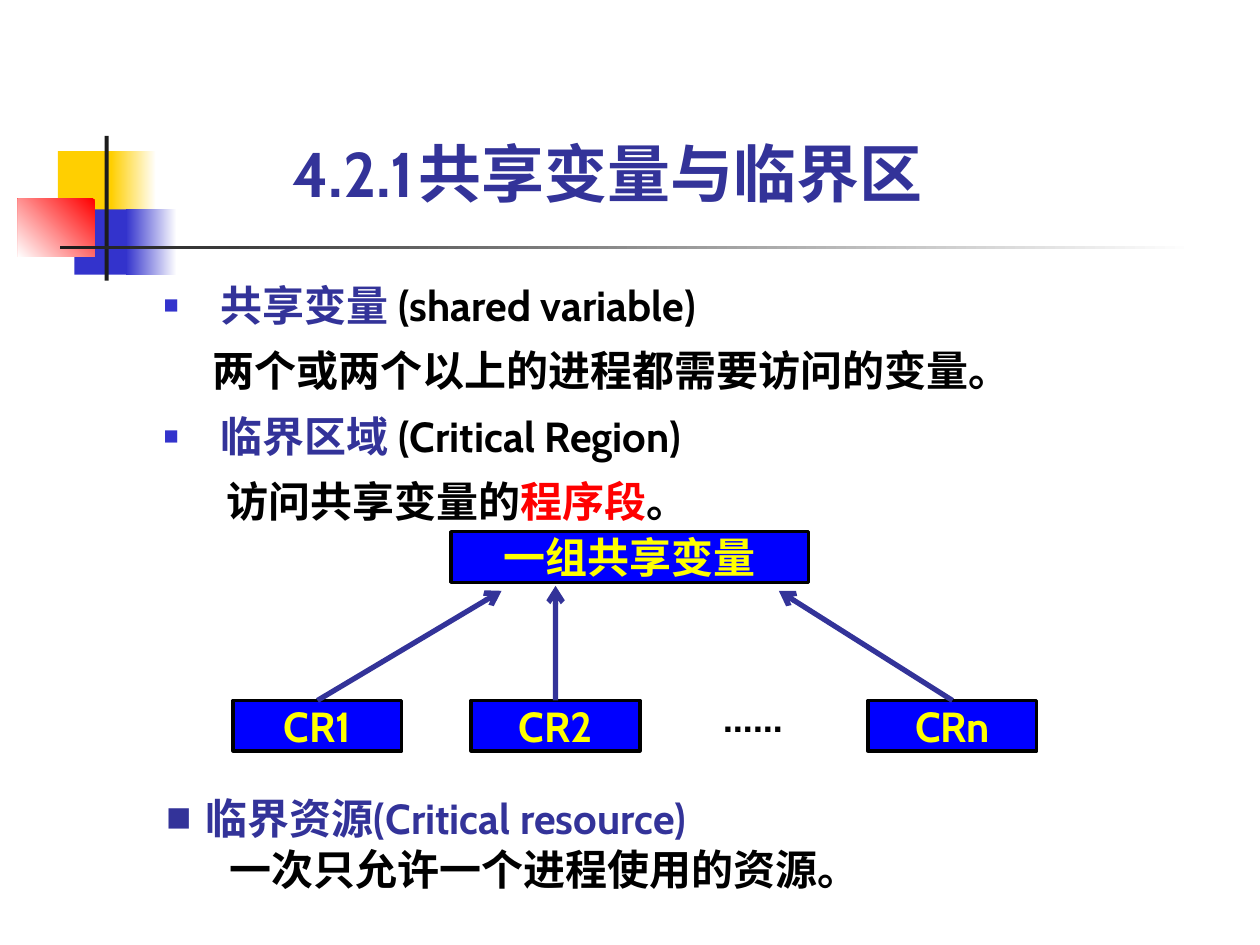
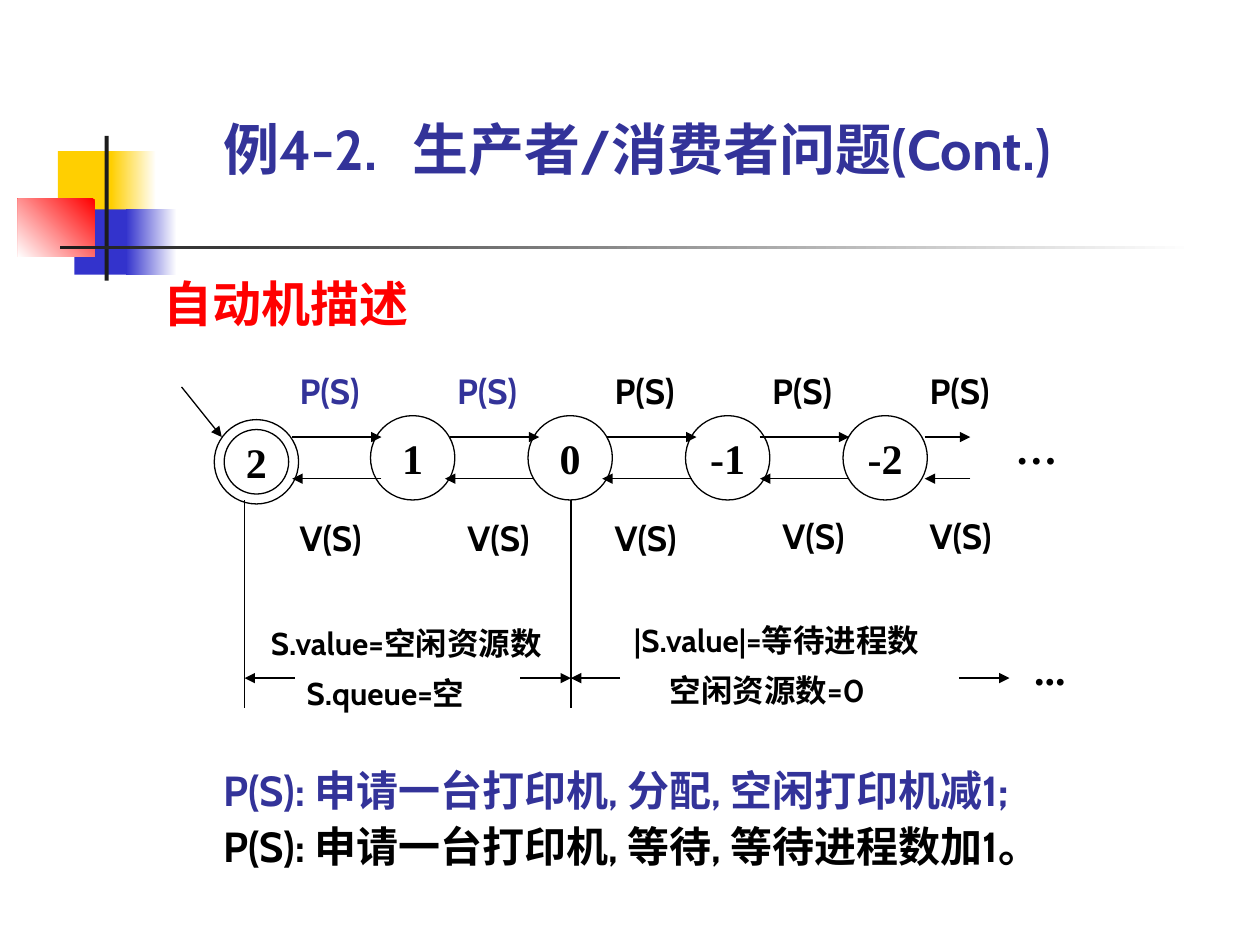
import pptx
import pptx.util
import pptx.dml.color
import pptx.enum.shapes
import pptx.enum.text
import pptx.oxml.ns
from lxml import etree

Cm, Pt = pptx.util.Cm, pptx.util.Pt
RGBColor = pptx.dml.color.RGBColor
SHAPE = pptx.enum.shapes.MSO_SHAPE
STRAIGHT = pptx.enum.shapes.MSO_CONNECTOR.STRAIGHT
ANCHOR = pptx.enum.text.MSO_ANCHOR
ALIGN = pptx.enum.text.PP_ALIGN
FIT = pptx.enum.text.MSO_AUTO_SIZE

WHITE = RGBColor(0xFF, 0xFF, 0xFF)
BLACK = RGBColor(0x00, 0x00, 0x00)
INK = RGBColor(0x1C, 0x1C, 0x1C)
INDIGO = RGBColor(0x33, 0x33, 0x99)
BLUE = RGBColor(0x33, 0x33, 0xCC)
BOX_BLUE = RGBColor(0x00, 0x00, 0xFF)
GOLD = RGBColor(0xFF, 0xCF, 0x01)
YELLOW = RGBColor(0xFF, 0xFF, 0x00)
RED = RGBColor(0xFF, 0x00, 0x00)

SANS, CJK, SERIF = "Cabin", "Noto Sans CJK SC", "Times New Roman"
NO_INSET = (0, 0)
INSET = (0.25, 0.13)


def add_xml(parent, tag, **attrs):
    return etree.SubElement(parent, pptx.oxml.ns.qn(tag), attrs)


class Deck:
    """Holds the style and the slide being drawn."""

    def __init__(self):
        self.prs = pptx.Presentation()
        self.prs.slide_width, self.prs.slide_height = Cm(25.4), Cm(19.05)
        self.layout = self.prs.slide_layouts[5]
        self.s = None

    def new_slide(self):
        self.s = self.prs.slides.add_slide(self.layout)

    def set_text(self, sp, paragraphs, inset=NO_INSET, anchor=ANCHOR.TOP, fit=FIT.SHAPE_TO_FIT_TEXT,
                 wrap=True, **style):
        """Each paragraph is (runs, format); each run is (text, format)."""
        tf = sp.text_frame
        frame = dict(margin_left=Cm(inset[0]), margin_right=Cm(inset[0]), margin_top=Cm(inset[1]),
                     margin_bottom=Cm(inset[1]), vertical_anchor=anchor, auto_size=fit, word_wrap=wrap)
        for name, value in frame.items():
            setattr(tf, name, value)
        for i, (runs, form) in enumerate(paragraphs):
            p = tf.add_paragraph() if i else tf.paragraphs[0]
            self.format_paragraph(p, **{**style.get("para", {}), **form})
            for text, run_format in runs:
                self.add_run(p, text, {**style.get("font", {}), **run_format})
        return sp

    def format_paragraph(self, p, align=ALIGN.LEFT, spacing=1.0, before=0, left=0, first=0,
                         bullet=None, bullet_size=100, tab=None):
        values = dict(alignment=align, line_spacing=spacing, space_before=Pt(before))
        for name, value in values.items():
            setattr(p, name, value)
        pPr = p._p.get_or_add_pPr()
        pPr.set("marL", str(Cm(left)))
        pPr.set("indent", str(Cm(first)))
        if bullet is not None:
            add_xml(add_xml(pPr, "a:buClr"), "a:srgbClr", val=str(bullet))
            add_xml(pPr, "a:buSzPct", val=str(bullet_size * 1000))
            add_xml(pPr, "a:buFont", typeface=SERIF)
            add_xml(pPr, "a:buChar", char="■")
        else:
            add_xml(pPr, "a:buNone")
        if tab:
            add_xml(add_xml(pPr, "a:tabLst"), "a:tab", pos=str(Cm(tab)), algn="l")

    def add_run(self, p, text, form):
        form = {"size": 24, "name": SANS, "color": BLACK, "bold": True, **form}
        r = p.add_run()
        r.text = text
        r.font.color.rgb = form.pop("color")
        form["size"] = Pt(form["size"])
        for name, value in form.items():
            setattr(r.font, name, value)
        add_xml(r.font._element, "a:ea", typeface=CJK)

    def title(self, text, x, y, w, h, size, tab, spacing=1.0):
        sp = self.s.shapes.title
        sp.left, sp.top, sp.width, sp.height = map(Cm, (x, y, w, h))
        runs = [(text, dict(size=size, color=INDIGO))]
        return self.set_text(sp, [(runs, dict(tab=tab, spacing=spacing))], anchor=ANCHOR.BOTTOM)

    def text(self, x, y, w, h, paragraphs, **style):
        sp = self.s.shapes.add_textbox(*map(Cm, (x, y, w, h)))
        return self.set_text(sp, paragraphs, **style)

    def label(self, text, x, y, w, h, inset=INSET, para=None, **font):
        return self.text(x, y, w, h, [([(text, font)], para or {})], inset=inset)

    def shape(self, kind, x, y, w, h, fill=None, gradient=None, line=None, weight=0.75):
        sp = self.s.shapes.add_shape(kind, *map(Cm, (x, y, w, h)))
        sp.shadow.inherit = False
        if gradient:
            start, end, angle = gradient
            sp.fill.gradient()
            sp.fill.gradient_angle = angle
            for stop, color in zip(sp.fill.gradient_stops, (start, end)):
                stop.color.rgb = color
        elif fill is not None:
            sp.fill.solid()
            sp.fill.fore_color.rgb = fill
        else:
            sp.fill.background()
        if line is not None:
            sp.line.color.rgb = line
            sp.line.width = Pt(weight)
        else:
            sp.line.fill.background()
        return sp

    def box(self, text, x, y, w, h):
        sp = self.shape(SHAPE.RECTANGLE, x, y, w, h, fill=BOX_BLUE, line=BLACK, weight=2)
        return self.set_text(sp, [([(text, dict(color=YELLOW))], dict(align=ALIGN.CENTER))])

    def state(self, text, x, y, d):
        sp = self.shape(SHAPE.OVAL, x, y, d, d, line=BLACK)
        return self.set_text(sp, [([(text, dict(name=SERIF))], dict(align=ALIGN.CENTER))], inset=INSET,
                             anchor=ANCHOR.MIDDLE, fit=FIT.NONE, wrap=False)

    def line(self, x1, y1, x2, y2, color=BLACK, weight=0.75, arrow="triangle", start=None):
        cx = self.s.shapes.add_connector(STRAIGHT, *map(Cm, (x1, y1, x2, y2)))
        cx.line.color.rgb = color
        cx.line.width = Pt(weight)
        spPr = cx._element.spPr
        if arrow:
            add_xml(spPr.get_or_add_ln(), "a:tailEnd", type=arrow)
        add_xml(spPr, "a:effectLst")
        if start is not None:
            cx.begin_connect(start, 0)
        return cx

    def decorate_layout(self):
        """Draw the corner blocks and rules, then move them to the shared layout."""
        blocks = [
            (1.17, 3.05, 1.22, 1.32, dict(fill=GOLD)),
            (2.24, 3.05, 0.91, 1.32, dict(gradient=(WHITE, GOLD, 180))),
            (1.5, 4.22, 1.17, 1.32, dict(fill=BLUE)),
            (2.54, 4.22, 1.02, 1.32, dict(gradient=(WHITE, BLUE, 180))),
            (0.36, 4.01, 1.55, 1.17, dict(gradient=(RED, WHITE, 225))),
            (2.11, 2.74, 0.08, 2.92, dict(fill=INK)),
            (1.22, 4.95, 22.86, 0.08, dict(gradient=(WHITE, INK, 180))),
        ]
        for x, y, w, h, look in blocks:
            sp = self.shape(SHAPE.RECTANGLE, x, y, w, h, **look)
            self.layout.shapes.element.append(sp._element)


def shared_variables(deck):
    deck.title("4.2.1\t共享变量与临界区", 5.89, 2.95, 15.01, 1.3, 36, tab=3.34, spacing=0.85)

    # Definitions
    indigo = dict(color=INDIGO)
    term = dict(left=1.15, first=-1.15, bullet=BLUE, bullet_size=60)
    deck.text(3.3, 5.33, 20.19, 5.28, [
        ([("共享变量 ", indigo), ("(shared variable)", {})], term),
        ([("两个或两个以上的进程都需要访问的变量。", {})], dict(left=0.99)),
        ([("临界区域 ", indigo), ("(Critical Region)", {})], term),
        ([("访问共享变量的", {}), ("程序段", dict(color=RED)), ("。", {})], dict(left=1.27)),
    ], para=dict(spacing=1.3), fit=FIT.NONE)

    # Critical regions pointing to the shared variables
    deck.box("一组共享变量", 9.09, 10.72, 7.21, 1.02)
    top, width = 14.12, 3.4
    regions = [("CR1", 4.7, 10.11, 11.91), ("CR2", 9.5, 11.2, 11.81), ("CRn", 17.5, 15.7, 11.91)]
    for name, x, tip_x, tip_y in regions:
        region = deck.box(name, x, top, width, 1.02)
        deck.line(x + width / 2, top, tip_x, tip_y, INDIGO, 3, "arrow", start=region)
    deck.label("……", 13.49, top, width, 0.81, NO_INSET, dict(align=ALIGN.CENTER, spacing=0.8))

    # Critical resource
    deck.text(3.1, 15.85, 15.6, 2.29, [
        ([("临界资源", dict(color=INDIGO, name=CJK)), ("(Critical resource)", indigo)],
         dict(left=0.8, first=-0.8, bullet=INDIGO)),
        ([("一次只允许一个进程使用的资源。", dict(name=CJK))], dict(left=1.27)),
    ], inset=INSET)


def producer_consumer(deck):
    deck.title("例4-2.\t生产者/消费者问题(Cont.)", 4.5, 2.31, 19.2, 1.35, 32, tab=4.2)
    deck.label("自动机描述", 3.3, 5.51, 5.21, 1.19, NO_INSET, size=28, color=RED)

    # States
    step, size = 3.175, 1.7
    deck.state("2", 4.32, 8.46, size)
    deck.shape(SHAPE.OVAL, 4.52, 8.66, 1.3, 1.3, line=BLACK)
    for i, value in enumerate(("1", "0", "-1", "-2")):
        deck.state(value, 7.47 + i * step, 8.38, size)
    deck.label("…", 20.22, 8.38, 1.27, 1.27, name=SERIF)

    # Transitions: P to the right, V to the left
    p_y, v_y, length = 8.81, 9.65, 1.8
    for x in (5.89, 9.07, 12.24, 15.32):
        deck.line(x, p_y, x + length, p_y)
    for x in (5.89, 8.97, 12.14, 15.32):
        deck.line(x + length, v_y, x, v_y)
    deck.line(18.64, p_y, 19.56, p_y)
    deck.line(19.56, v_y, 18.64, v_y)
    deck.line(3.66, 7.8, 4.47, 8.81)
    for i in range(5):
        x = 5.79 + i * step
        deck.label("P(S)", x, 7.32, 2.11, 1.12, size=20, color=INDIGO if i < 2 else BLACK)
        deck.label("V(S)", x + i % 2 * 0.21, 10.29 if i < 3 else 10.24, 2.11, 1.12, size=20)

    # Ranges of the semaphore value
    left, middle, y = 4.93, 11.51, 13.67
    for x in (left, middle):
        deck.line(x, 10.08, x, 14.27, arrow=None)
    for x1, x2 in ((10.49, middle), (5.94, left), (12.5, middle), (19.33, 20.35)):
        deck.line(x1, y, x2, y)
    ranges = [
        (5.21, 12.6, 6.65, 1.88, INSET, "S.value=空闲资源数", "S.queue=空"),
        (12.78, 12.67, 7.04, 1.63, NO_INSET, "|S.value|=等待进程数", "空闲资源数=0"),
    ]
    for x, top, w, h, inset, value, queue in ranges:
        deck.text(x, top, w, h, [([(value, {})], {}), ([(queue, {})], dict(left=0.72, before=11.2))],
                  inset=inset, para=dict(spacing=0.8), font=dict(size=18))
    deck.label("...", 20.6, 12.85, 1.7, 1.27, name=SERIF)

    # Meaning of P(S)
    deck.text(4.5, 15.32, 18.01, 3.35, [
        ([("P(S): 申请一台打印机, 分配, 空闲打印机减1;", dict(color=INDIGO))], {}),
        ([("P(S): 申请一台打印机, 等待, 等待进程数加1。", {})], {}),
    ], para=dict(spacing=1.1))


def main():
    deck = Deck()
    deck.new_slide()
    deck.decorate_layout()
    shared_variables(deck)
    deck.new_slide()
    producer_consumer(deck)
    deck.prs.save("out.pptx")


if __name__ == "__main__":
    main()
